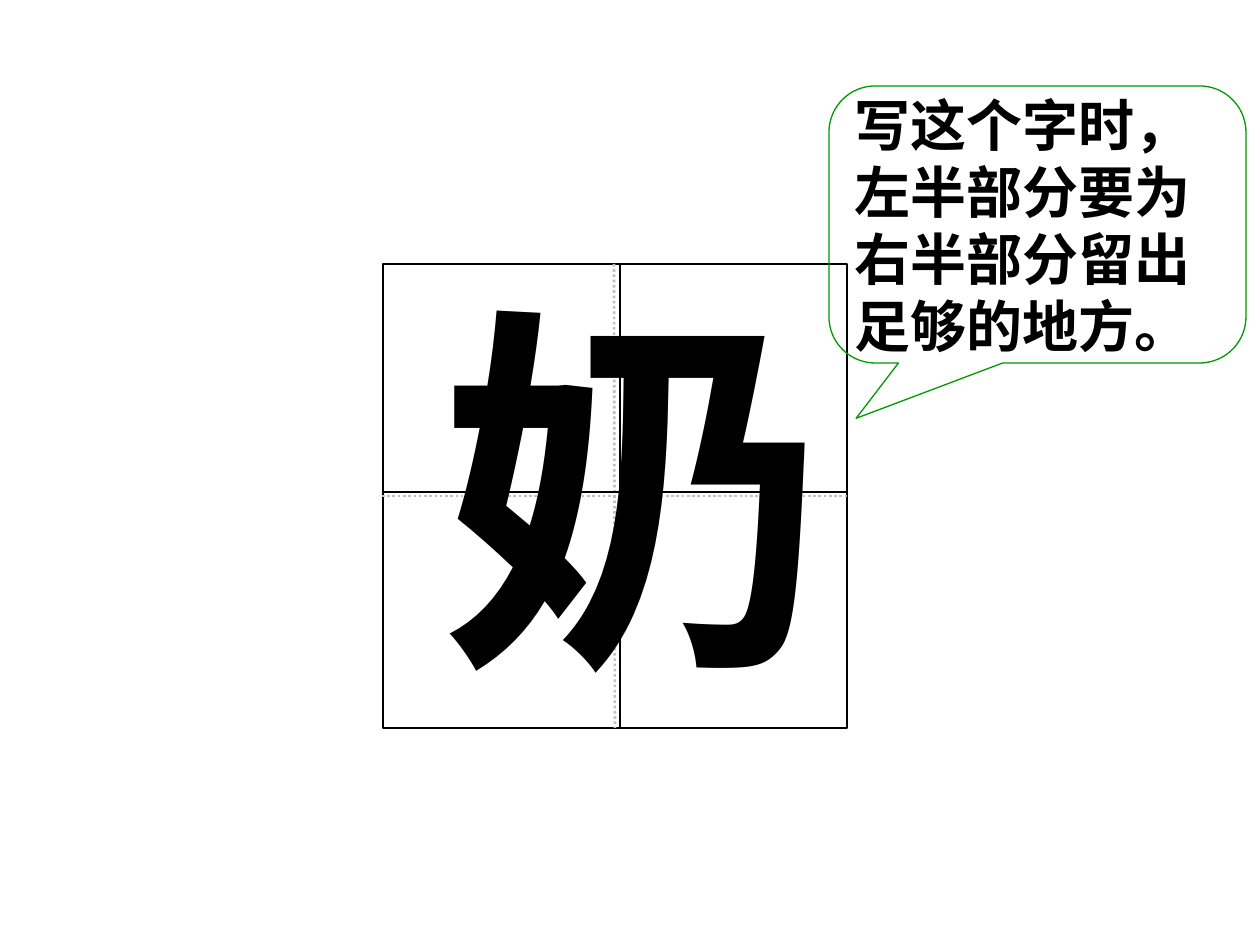
from lxml import etree
from pptx import Presentation
from pptx.dml.color import RGBColor
from pptx.enum.dml import MSO_LINE
from pptx.enum.shapes import MSO_CONNECTOR, MSO_SHAPE
from pptx.enum.text import MSO_ANCHOR, MSO_AUTO_SIZE, PP_ALIGN
from pptx.oxml.ns import qn
from pptx.util import Emu, Inches, Pt

RECT = MSO_SHAPE.RECTANGLE
CALLOUT = MSO_SHAPE.ROUNDED_RECTANGULAR_CALLOUT
STRAIGHT = MSO_CONNECTOR.STRAIGHT
DOTTED = MSO_LINE.ROUND_DOT
MIDDLE = MSO_ANCHOR.MIDDLE
LEFT = PP_ALIGN.LEFT
GROW = MSO_AUTO_SIZE.SHAPE_TO_FIT_TEXT

BLACK = RGBColor(0x00, 0x00, 0x00)
WHITE = RGBColor(0xFF, 0xFF, 0xFF)
SILVER = RGBColor(0xC0, 0xC0, 0xC0)
GREEN = RGBColor(0x00, 0x99, 0x00)
FONT = "Arial"
PX_PER_INCH = 126


def px(n):
    """Turn pixels into EMU."""
    return Emu(round(n * Inches(1) / PX_PER_INCH))


def add_line(s, x1, y1, x2, y2, color, width, dash=None):
    """Draw a straight line without a shadow."""
    c = s.shapes.add_connector(STRAIGHT, px(x1), px(y1), px(x2), px(y2))
    c.line.color.rgb = color
    c.line.width = Pt(width)
    if dash:
        c.line.dash_style = dash
    etree.SubElement(c._element.spPr, qn("a:effectLst"))


def write_lines(tf, lines, size):
    """Write each line as a bold, left-aligned paragraph."""
    tf.word_wrap = False
    tf.vertical_anchor = MIDDLE
    for i, text in enumerate(lines):
        p = tf.paragraphs[0] if i == 0 else tf.add_paragraph()
        p.alignment = LEFT
        r = p.add_run()
        r.text = text
        r.font.name = FONT
        r.font.size = Pt(size)
        r.font.bold = True
        r.font.color.rgb = BLACK
        ea = etree.SubElement(r._r.get_or_add_rPr(), qn("a:ea"))
        ea.set("typeface", FONT)


def add_writing_grid(s, x, y, size, char):
    """Draw the square practice grid with its character."""
    sp = s.shapes.add_shape(RECT, px(x), px(y), px(size), px(size))
    sp.shadow.inherit = False
    sp.fill.solid()
    sp.fill.fore_color.rgb = WHITE
    sp.line.color.rgb = BLACK
    sp.line.width = Pt(1)
    mid = size // 2
    right, bottom = x + size + 1, y + size
    add_line(s, x - 1, y + mid, right, y + mid, SILVER, 1.5, DOTTED)
    add_line(s, x + mid - 1, y, x + mid, bottom, SILVER, 1.5, DOTTED)
    add_line(s, x - 1, y + mid - 4, right, y + mid - 4, BLACK, 0.75)
    add_line(s, x + mid + 5, y, x + mid + 5, bottom, BLACK, 0.75)
    box = s.shapes.add_textbox(px(x + 45), px(y - 18), px(410), px(475))
    write_lines(box.text_frame, [char], 220)
    box.text_frame.auto_size = GROW


def add_tip(s, x, y, w, h, lines):
    """Draw the speech bubble with the writing tip."""
    sp = s.shapes.add_shape(CALLOUT, px(x), px(y), px(w), px(h))
    sp.shadow.inherit = False
    sp.fill.background()
    sp.line.color.rgb = GREEN
    sp.line.width = Pt(0.75)
    for i, value in enumerate((-0.435, 0.7, 0.167)):
        sp.adjustments[i] = value
    write_lines(sp.text_frame, lines, 32)


def main():
    """Build the slide and save it."""
    prs = Presentation()
    prs.slide_width, prs.slide_height = Inches(10), Inches(7.5)
    s = prs.slides.add_slide(prs.slide_layouts[6])
    add_writing_grid(s, 383, 264, 464, "奶")
    add_tip(s, 829, 86, 417, 277,
            ["写这个字时，", "左半部分要为", "右半部分留出", "足够的地方。"])
    prs.save("out.pptx")


if __name__ == "__main__":
    main()
